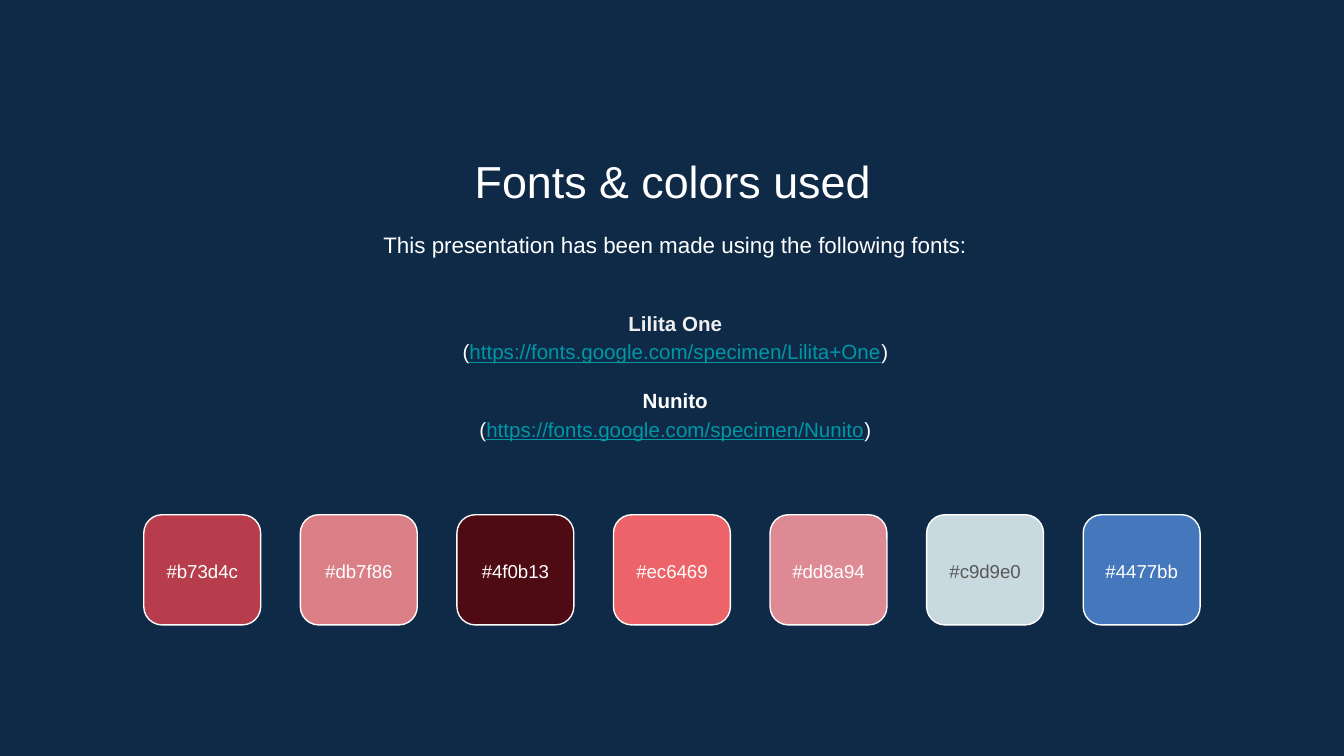
from pptx import Presentation
from pptx.dml.color import RGBColor
from pptx.enum.shapes import MSO_SHAPE
from pptx.enum.text import MSO_ANCHOR, MSO_AUTO_SIZE, PP_ALIGN
from pptx.util import Inches, Pt

TITLE = "Fonts & colors used"
INTRO = "This presentation has been made using the following fonts:"
FONTS = [
    ("Lilita One", "https://fonts.google.com/specimen/Lilita+One", "EFEFEF"),
    ("Nunito", "https://fonts.google.com/specimen/Nunito", "FFFFFF"),
]
SWATCHES = ["b73d4c", "db7f86", "4f0b13", "ec6469", "dd8a94", "c9d9e0", "4477bb"]
DARK_TEXT = {"c9d9e0": "595959"}
WHITE, LINK, NAVY = "FFFFFF", "0097A7", "0E2A47"
FIRST, LAST, WIDTH = 1.07, 8.06, 0.87


def paint(target, color):
    """Set a font, line or fill colour from a hex string."""
    target.rgb = RGBColor.from_string(color.upper())


def place(shape, left, top, width, height):
    """Move and size a shape in inches."""
    shape.left, shape.top = Inches(left), Inches(top)
    shape.width, shape.height = Inches(width), Inches(height)


def frame(shape, anchor):
    """Prepare the text frame of a shape."""
    box = shape.text_frame
    box.word_wrap = True
    box.auto_size = MSO_AUTO_SIZE.NONE
    box.vertical_anchor = anchor
    box.margin_left = box.margin_right = Inches(0.1)
    box.margin_top = box.margin_bottom = Inches(0.1)
    return box


def style(line, size, color=WHITE, bold=False, space=1.15, before=0):
    """Centre a paragraph and format its runs."""
    line.alignment = PP_ALIGN.CENTER
    line.line_spacing = space
    line.space_before = Pt(before)
    for run in line.runs:
        run.font.name = "Arial"
        run.font.size = Pt(size)
        run.font.bold = bold
        paint(run.font.color, color)


def write(shape, text, size, anchor, color=WHITE, space=1.15):
    """Fill a shape with one formatted paragraph."""
    box = frame(shape, anchor)
    box.text = text
    style(box.paragraphs[0], size, color, space=space)


def list_fonts(shape):
    """Write each font name above its address."""
    box = frame(shape, MSO_ANCHOR.MIDDLE)
    for i, (name, link, color) in enumerate(FONTS):
        head = box.add_paragraph() if i else box.paragraphs[0]
        head.text = name
        style(head, 11, color, bold=True, before=11 if i else 0)
        line = box.add_paragraph()
        for part in ("(", link, ")"):
            line.add_run().text = part
        style(line, 11)
        font = line.runs[1].font
        font.underline = True
        paint(font.color, LINK)


def add_swatch(shapes, code, left):
    """Draw one colour tile with its code."""
    tile = shapes.add_shape(MSO_SHAPE.ROUNDED_RECTANGLE, 0, 0, 0, 0)
    place(tile, left, 3.83, WIDTH, 0.82)
    tile.shadow.inherit = False
    tile.fill.solid()
    paint(tile.fill.fore_color, code)
    paint(tile.line.color, WHITE)
    tile.line.width = Pt(0.75)
    label = shapes.add_textbox(0, 0, 0, 0)
    place(label, left, 4, WIDTH, 0.48)
    write(label, f"#{code}", 10, MSO_ANCHOR.MIDDLE, DARK_TEXT.get(code, WHITE))


def main():
    """Build the fonts and colours slide."""
    deck = Presentation()
    deck.slide_width = Inches(10)
    deck.slide_height = Inches(10 * 9 / 16)
    slide = deck.slides.add_slide(deck.slide_layouts.get_by_name("Comparison"))
    fill = slide.background.fill
    fill.solid()
    paint(fill.fore_color, NAVY)

    title, intro, spare, fonts, extra = slide.placeholders
    for empty in (spare, extra):
        empty.element.getparent().remove(empty.element)
    place(title, 1.15, 1.04, 7.71, 0.53)
    write(title, TITLE, 24, MSO_ANCHOR.TOP, space=1)
    place(intro, 1.17, 1.59, 7.71, 0.48)
    write(intro, INTRO, 12, MSO_ANCHOR.TOP)
    place(fonts, 1.17, 2.1, 7.71, 1.37)
    list_fonts(fonts)

    group = slide.shapes.add_group_shape()
    step = (LAST - FIRST) / (len(SWATCHES) - 1)
    for i, code in enumerate(SWATCHES):
        add_swatch(group.shapes, code, FIRST + i * step)
    deck.save("out.pptx")


if __name__ == "__main__":
    main()
